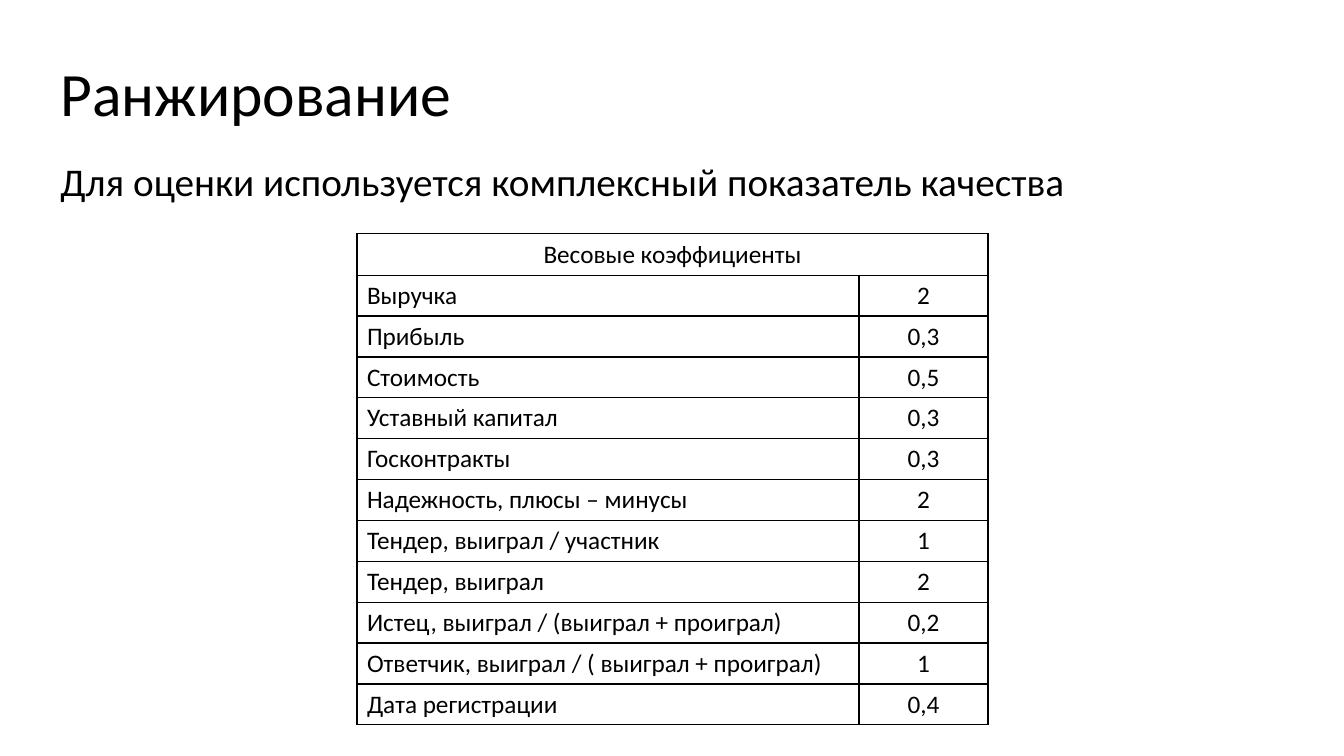
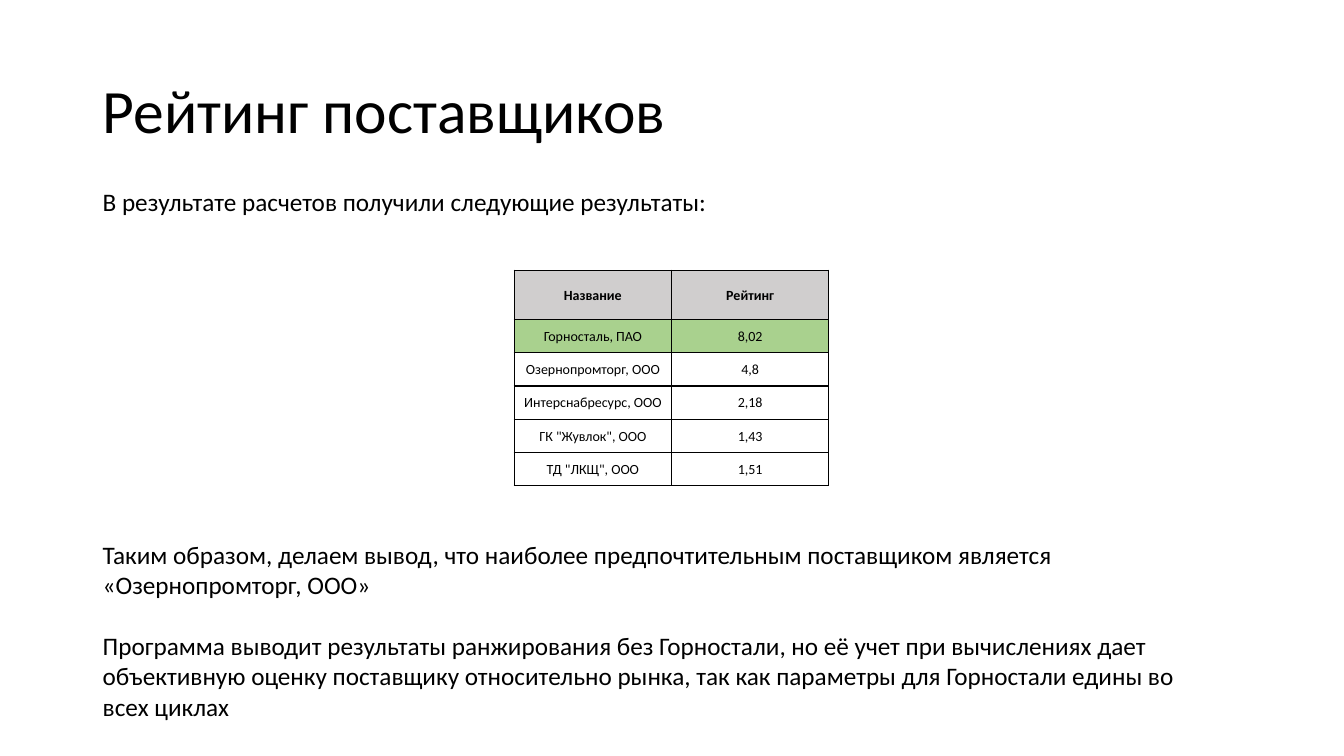
"""Build two slides on supplier ranking: weights and final ratings."""
from dataclasses import dataclass

from lxml.etree import SubElement
from pptx import Presentation
from pptx.dml.color import RGBColor as RGB
from pptx.enum.text import MSO_ANCHOR as ANCHOR, MSO_AUTO_SIZE as AUTO, PP_ALIGN as ALIGN
from pptx.oxml.ns import qn
from pptx.util import Emu, Pt


@dataclass(frozen=True)
class Theme:
    font: str = "Calibri"
    ink: RGB = RGB(0, 0, 0)
    paper: RGB = RGB(255, 255, 255)
    header: RGB = RGB(0xD0, 0xCE, 0xCE)
    leader: RGB = RGB(0xA9, 0xD1, 0x8E)
    title: int = 44
    lead: int = 28
    text: int = 18
    small: int = 10
    border: int = 1


THEME = Theme()
EMU_PER_PX = 9144
TITLE_AND_BODY, TITLE_ONLY = 1, 5

WEIGHTS = [
    ("Весовые коэффициенты", ""),
    ("Выручка", "2"),
    ("Прибыль", "0,3"),
    ("Стоимость", "0,5"),
    ("Уставный капитал", "0,3"),
    ("Госконтракты", "0,3"),
    ("Надежность, плюсы – минусы", "2"),
    ("Тендер, выиграл / участник", "1"),
    ("Тендер, выиграл", "2"),
    ("Истец, выиграл / (выиграл + проиграл)", "0,2"),
    ("Ответчик, выиграл / ( выиграл + проиграл)", "1"),
    ("Дата регистрации", "0,4"),
]
RATINGS = [
    ("Название", "Рейтинг"),
    ("Горносталь, ПАО", "8,02"),
    ("Озернопромторг, ООО", "4,8"),
    ("Интерснабресурс, ООО", "2,18"),
    ('ГК "Жувлок", ООО', "1,43"),
    ('ТД "ЛКЩ", ООО', "1,51"),
]
CONCLUSIONS = [
    "Таким образом, делаем вывод, что наиболее предпочтительным поставщиком "
    "является «Озернопромторг, ООО»",
    "Программа выводит результаты ранжирования без Горностали, но её учет при "
    "вычислениях дает объективную оценку поставщику относительно рынка, так как "
    "параметры для Горностали едины во всех циклах",
]


def px(n):
    """Turn px into EMU."""
    return Emu(int(n * EMU_PER_PX))


def apply(obj, **values):
    """Set each given attribute on the object."""
    for name, value in values.items():
        setattr(obj, name, value)


def write(p, text, size, bold=False, **fmt):
    """Put one styled run in a paragraph."""
    apply(p, **fmt)
    r = p.add_run()
    r.text = text
    apply(r.font, name=THEME.font, size=Pt(size), bold=bold)
    r.font.color.rgb = THEME.ink


def place(sp, at):
    """Move a shape to a box given in px."""
    apply(sp, **dict(zip(("left", "top", "width", "height"), map(px, at))))


def fill_placeholder(sp, at, text, size, anchor, **fmt):
    """Move a placeholder and give it one plain, unbulleted line."""
    place(sp, at)
    tf = sp.text_frame
    apply(tf, auto_size=AUTO.NONE, word_wrap=True, vertical_anchor=anchor)
    p = tf.paragraphs[0]
    write(p, text, size, alignment=ALIGN.LEFT, line_spacing=0.9, **fmt)
    pPr = p._p.get_or_add_pPr()
    pPr.set("marL", "0")
    pPr.set("indent", "0")
    SubElement(pPr, qn("a:buNone"))


def add_slide(prs, layout, title, at):
    """Add a slide with its title."""
    s = prs.slides.add_slide(prs.slide_layouts[layout])
    fill_placeholder(s.shapes.title, at, title, THEME.title, ANCHOR.MIDDLE)
    return s


def add_text(s, at, paragraphs, gap=0):
    """Add a text box whose paragraphs stand a gap in points apart."""
    tf = s.shapes.add_textbox(*map(px, at)).text_frame
    tf.word_wrap = True
    for i, text in enumerate(paragraphs):
        p = tf.add_paragraph() if i else tf.paragraphs[0]
        write(p, text, THEME.text, space_before=Pt(gap if i else 0))


def add_borders(cell):
    """Draw the four cell borders."""
    tcPr = cell._tc.get_or_add_tcPr()
    for side in ("lnL", "lnR", "lnT", "lnB"):
        ln = SubElement(tcPr, qn(f"a:{side}"), w=str(Pt(THEME.border)))
        color = SubElement(SubElement(ln, qn("a:solidFill")), qn("a:srgbClr"))
        color.set("val", str(THEME.ink))


def add_grid(s, at, rows, widths, header_height, size, fills=(), margins=None,
             centred=False, bold_header=False):
    """Add a bordered table; fills colour the first rows in turn."""
    frame = s.shapes.add_table(len(rows), len(widths), *map(px, at))
    table = frame.table
    apply(table, first_row=False, horz_banding=False)
    for column, width in zip(table.columns, widths):
        column.width = px(width)
    row_height = (at[3] - header_height) / (len(rows) - 1)
    for i, values in enumerate(rows):
        table.rows[i].height = px(row_height if i else header_height)
        for j, text in enumerate(values):
            cell = table.cell(i, j)
            apply(cell, vertical_anchor=ANCHOR.MIDDLE, **(margins or {}))
            add_borders(cell)
            cell.fill.solid()
            cell.fill.fore_color.rgb = fills[i] if i < len(fills) else THEME.paper
            if text:
                middle = centred or j > 0 or i == 0
                write(cell.text_frame.paragraphs[0], text, size,
                      bold=bold_header and i == 0,
                      alignment=ALIGN.CENTER if middle else ALIGN.LEFT)
    return table


def add_weights(prs):
    """Add the slide with the weight of each criterion."""
    s = add_slide(prs, TITLE_AND_BODY, "Ранжирование", (50, 23, 1150, 145))
    fill_placeholder(s.placeholders[1], (50, 156, 1150, 118),
                     "Для оценки используется комплексный показатель качества",
                     THEME.lead, ANCHOR.TOP, space_before=Pt(10))
    table = add_grid(s, (354, 232, 626, 487), WEIGHTS, (498, 128), 41, THEME.text)
    table.cell(0, 0).merge(table.cell(0, 1))


def add_ratings(prs):
    """Add the slide with the supplier ratings and the conclusion."""
    s = add_slide(prs, TITLE_ONLY, "Рейтинг поставщиков", (92, 40, 1150, 145))
    margins = dict(margin_left=px(1), margin_top=px(1), margin_right=px(1), margin_bottom=0)
    add_grid(s, (510, 268, 312, 214), RATINGS, (156, 156), 49, THEME.small,
             fills=(THEME.header, THEME.leader), margins=margins,
             centred=True, bold_header=True)
    add_text(s, (92, 180, 764, 40),
             ["В результате расчетов получили следующие результаты:"])
    add_text(s, (92, 530, 1111, 192), CONCLUSIONS, gap=22)


def main():
    """Build and save the presentation."""
    prs = Presentation()
    apply(prs, slide_width=px(1333), slide_height=px(750))
    add_weights(prs)
    add_ratings(prs)
    prs.save("out.pptx")


if __name__ == "__main__":
    main()
